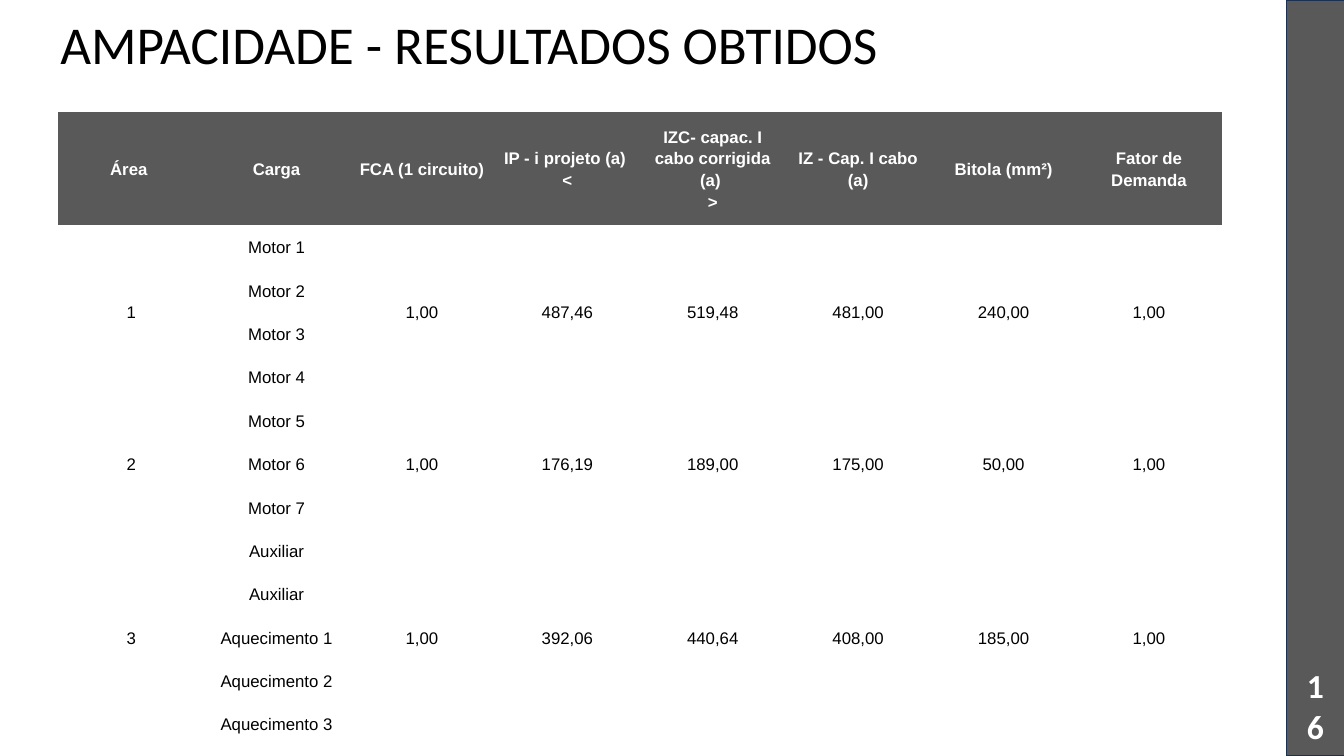
from pptx import Presentation
from pptx import util as u
from pptx.dml.color import RGBColor
from pptx.enum import shapes, text

WIDE, HIGH = 13.33, 7.5
GREY, WHITE, BLACK, NAVY = "595959", "FFFFFF", "000000", "1C3052"
PLAIN = "{2D5ABB26-0587-4C30-8999-92F81FD0307C}"  # table style without grid or bands
HEAD_H, ROW_H = 13.6, 4.93

HEADS = ["Área ", "Carga", "FCA (1 circuito)", "IP - i projeto (a) \n<",
         "IZC- capac. I cabo corrigida (a) \n>", "IZ - Cap. I cabo (a)",
         "Bitola (mm²)", "Fator de Demanda"]

# Each area: its loads, then the values shared by all of them
AREAS = [
    ([f"Motor {n}" for n in range(1, 5)],
     ["1,00", "487,46", "519,48", "481,00", "240,00", "1,00"]),
    ([f"Motor {n}" for n in range(5, 8)],
     ["1,00", "176,19", "189,00", "175,00", "50,00", "1,00"]),
    (["Auxiliar"] * 2 + [f"Aquecimento {n}" for n in range(1, 4)],
     ["1,00", "392,06", "440,64", "408,00", "185,00", "1,00"]),
]


def color(code):
    return RGBColor.from_string(code)


def across(share):
    """Percent of the slide's width."""
    return u.Inches(WIDE * share / 100)


def down(share):
    """Percent of the slide's height."""
    return u.Inches(HIGH * share / 100)


def place(x, y, w, h):
    return across(x), down(y), across(w), down(h)


def style(frame, font, size, ink, bold=False, align=None, lines=None):
    for para in frame.paragraphs:
        para.alignment = align
        para.line_spacing = lines
        for run in para.runs:
            run.font.name = font
            run.font.size = u.Pt(size)
            run.font.bold = bold
            run.font.color.rgb = color(ink)


def add_label(slide, words, area, anchor, **look):
    frame = slide.shapes.add_textbox(*place(*area)).text_frame
    frame.word_wrap = True
    frame.vertical_anchor = anchor
    frame.text = words
    style(frame, "Calibri", **look)


def add_bar(slide, area):
    bar = slide.shapes.add_shape(shapes.MSO_SHAPE.RECTANGLE, *place(*area))
    bar.shadow.inherit = False
    bar.fill.solid()
    bar.fill.fore_color.rgb = color(GREY)
    bar.line.color.rgb = color(NAVY)
    bar.line.width = u.Pt(1)


def fill_cell(cell, words, head=False):
    cell.text = words
    cell.vertical_anchor = text.MSO_ANCHOR.MIDDLE
    cell.margin_left = cell.margin_right = u.Inches(0.03)
    cell.margin_top = cell.margin_bottom = u.Inches(0.1)
    if head:
        cell.fill.solid()
        cell.fill.fore_color.rgb = color(GREY)
    else:
        cell.fill.background()
    style(cell.text_frame, "Arial", 12, WHITE if head else BLACK, head,
          text.PP_ALIGN.CENTER, 1.15)


def add_grid(slide, x, y, w):
    count = 1 + sum(len(loads) for loads, _ in AREAS)
    area = place(x, y, w, HEAD_H + ROW_H * (count - 1))
    grid = slide.shapes.add_table(count, len(HEADS), *area).table
    grid._tbl.tblPr[0].text = PLAIN
    grid.first_row = grid.horz_banding = False
    for i, row in enumerate(grid.rows):
        row.height = down(ROW_H if i else HEAD_H)
        for cell in row.cells:
            fill_cell(cell, "", head=i == 0)

    # Header
    for col, head in enumerate(HEADS):
        fill_cell(grid.cell(0, col), head, head=True)

    # One block of rows per area, merged in every column but the loads
    top = 1
    for number, (loads, values) in enumerate(AREAS, 1):
        for i, load in enumerate(loads):
            fill_cell(grid.cell(top + i, 1), load)
        shared = {0: str(number), **dict(enumerate(values, 2))}
        for col, value in shared.items():
            first = grid.cell(top, col)
            first.merge(grid.cell(top + len(loads) - 1, col))
            fill_cell(first, value)
        top += len(loads)


def main():
    deck = Presentation()
    deck.slide_width, deck.slide_height = u.Inches(WIDE), u.Inches(HIGH)
    slide = deck.slides.add_slide(deck.slide_layouts[6])

    # Title
    add_label(slide, "AMPACIDADE - RESULTADOS OBTIDOS", (3.75, 1.73, 83.65, 11.87),
              text.MSO_ANCHOR.TOP, size=38, ink=BLACK, lines=0.9)

    # Side bar with the page number
    add_bar(slide, (95.72, 0, 4.35, 100))
    add_label(slide, "16", (95.95, 89.33, 3.83, 8), text.MSO_ANCHOR.MIDDLE,
              size=24, ink=WHITE, bold=True, align=text.PP_ALIGN.CENTER)

    # Results
    add_grid(slide, 4.35, 14.8, 86.57)
    deck.save("out.pptx")


if __name__ == "__main__":
    main()
